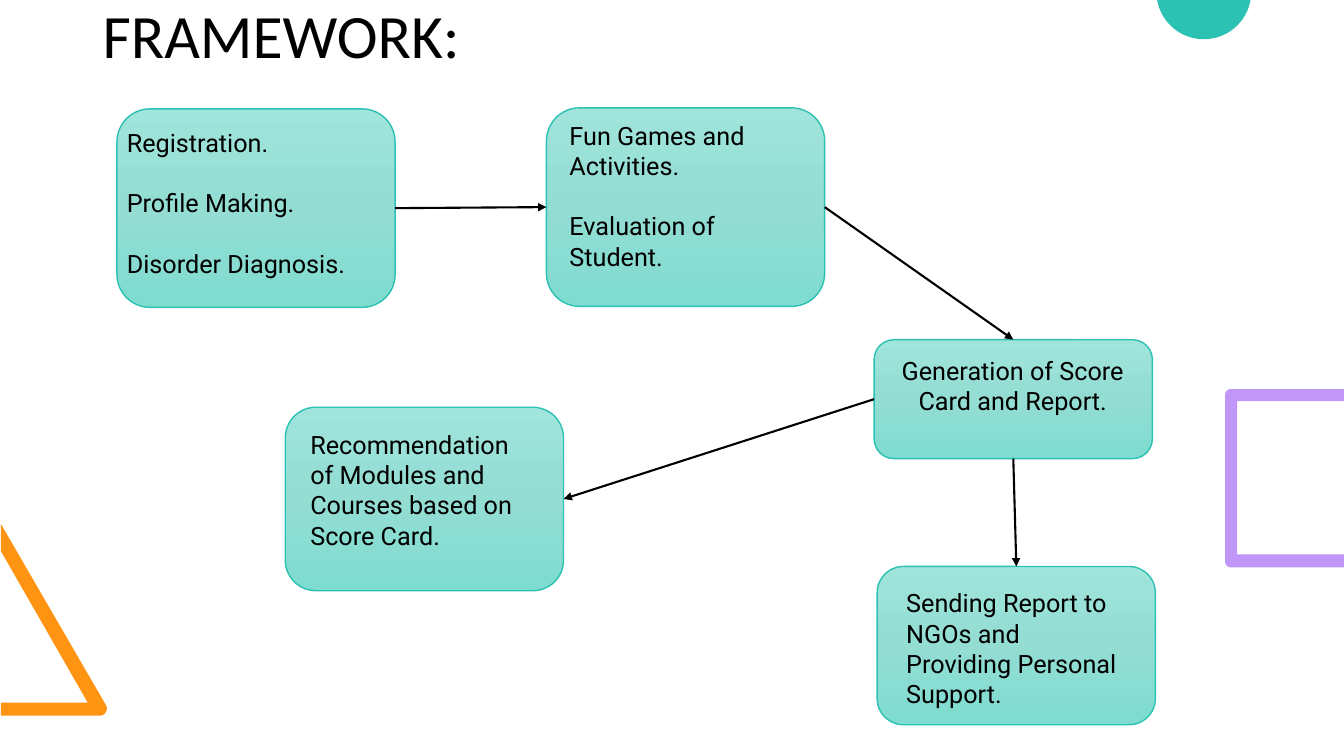
from copy import deepcopy
from dataclasses import dataclass
from math import cos, radians, sin

from lxml.etree import SubElement
from pptx import Presentation
from pptx.dml.color import RGBColor
from pptx.enum.shapes import MSO_CONNECTOR, MSO_SHAPE
from pptx.enum.text import MSO_ANCHOR, MSO_AUTO_SIZE, PP_ALIGN
from pptx.oxml.ns import qn
from pptx.shapes.autoshape import Shape
from pptx.shapes.shapetree import SlideShapes
from pptx.text.text import _Paragraph as Para
from pptx.util import Inches, Pt

ROUND = MSO_SHAPE.ROUNDED_RECTANGLE
STRAIGHT = MSO_CONNECTOR.STRAIGHT
MIDDLE = MSO_ANCHOR.MIDDLE
GROW = MSO_AUTO_SIZE.SHAPE_TO_FIT_TEXT
LEFT, CENTER = PP_ALIGN.LEFT, PP_ALIGN.CENTER
TOP_SIDE, LEFT_SIDE, BOTTOM_SIDE, RIGHT_SIDE = range(4)

Point = tuple[float, float]
Area = tuple[float, float, float, float]


@dataclass(frozen=True)
class Theme:
    ink: str = "000000"
    teal: str = "2BC2B4"
    orange: str = "FF9413"
    purple: str = "C097F8"
    fade: tuple[str, ...] = ("A0E4DB", "93DDD3", "7FDCD0")
    head_font: str = "Calibri"
    body_font: str = "Roboto"
    head_size: int = 44
    body_size: int = 18
    gap: float = 21.6
    edge: float = 1
    arrow: float = 1.5


@dataclass(frozen=True)
class Step:
    box: Area
    label: Area
    lines: tuple[str, ...]
    gap: float = 0
    align: PP_ALIGN = LEFT
    inset: float = 0.05


@dataclass(frozen=True)
class Link:
    start: str
    out: int
    end: str
    into: int


@dataclass(frozen=True)
class Decor:
    points: list[Point]
    color: str


THEME = Theme()

STEPS = {
    "signup": Step((1.16, 1.08, 2.76, 1.97), (1.16, 1.21, 2.6, 1.62),
                   ("Registration.", "Profile Making.", "Disorder Diagnosis."),
                   gap=THEME.gap),
    "games": Step((5.42, 1.07, 2.76, 1.97), (5.55, 1.14, 2.5, 2.22),
                  ("Fun Games and Activities.", "Evaluation of Student."),
                  gap=THEME.gap),
    "score": Step((8.67, 3.37, 2.76, 1.18), (8.81, 3.17, 2.47, 1.62),
                  ("Generation of Score Card and Report.",),
                  align=CENTER, inset=0.35),
    "advice": Step((2.83, 4.04, 2.76, 1.82), (2.98, 4.21, 2.4, 1.31),
                   ("Recommendation of Modules and Courses based on Score Card.",)),
    "report": Step((8.7, 5.62, 2.76, 1.57), (8.89, 5.78, 2.37, 1.31),
                   ("Sending Report to NGOs and Providing Personal", "Support.")),
}

LINKS = [
    Link("signup", RIGHT_SIDE, "games", LEFT_SIDE),
    Link("games", RIGHT_SIDE, "score", TOP_SIDE),
    Link("score", LEFT_SIDE, "advice", RIGHT_SIDE),
    Link("score", BOTTOM_SIDE, "report", TOP_SIDE),
]


def arc(x: float, y: float, radius: float, start: int, end: int) -> list[Point]:
    """Points every five degrees, clockwise from the right."""
    return [(x + radius * cos(radians(a)), y + radius * sin(radians(a)))
            for a in range(start, end + 1, 5)]


DECOR = [
    Decor([(0.01, 7.1), (0.01, 6.97), (0.87, 6.97), (0.01, 5.47), (0.01, 5.2),
           *arc(0.99, 7.03, 0.07, -30, 90)], THEME.orange),
    Decor(arc(11.94, -0.08, 0.47, 10, 170), THEME.teal),
    Decor([(13.33, 5.63), (13.33, 5.5), (12.27, 5.5), (12.27, 3.98),
           (13.33, 3.98), (13.33, 3.86),
           *reversed(arc(12.21, 3.92, 0.06, 180, 270)),
           *reversed(arc(12.21, 5.57, 0.06, 90, 180))], THEME.purple),
]


def rgb(color: str) -> RGBColor:
    return RGBColor.from_string(color)


def style(para: Para, font: str, size: int) -> None:
    para.font.name = font
    para.font.size = Pt(size)
    para.font.color.rgb = rgb(THEME.ink)


def add_decor(shapes: SlideShapes, decor: Decor) -> None:
    first, *rest = [(Inches(x), Inches(y)) for x, y in decor.points]
    pen = shapes.build_freeform(*first)
    pen.add_line_segments(rest)
    shape = pen.convert_to_shape()
    shape.shadow.inherit = False
    shape.fill.solid()
    shape.fill.fore_color.rgb = rgb(decor.color)
    shape.line.fill.background()


def add_title(shapes: SlideShapes, text: str) -> None:
    box = shapes.add_textbox(*map(Inches, (0.92, -0.42, 11.5, 1.61)))
    frame = box.text_frame
    frame.word_wrap = True
    frame.vertical_anchor = MIDDLE
    para = frame.paragraphs[0]
    para.text = text
    para.line_spacing = 0.9
    style(para, THEME.head_font, THEME.head_size)


def add_box(shapes: SlideShapes, area: Area) -> Shape:
    box = shapes.add_shape(ROUND, *map(Inches, area))
    box.shadow.inherit = False
    box.line.color.rgb = rgb(THEME.teal)
    box.line.width = Pt(THEME.edge)
    box.fill.gradient()
    box.fill.gradient_angle = 270
    stops = box._element.spPr.find(qn("a:gradFill")).find(qn("a:gsLst"))
    stops.insert(1, deepcopy(stops[0]))
    for i, (stop, color) in enumerate(zip(box.fill.gradient_stops, THEME.fade)):
        stop.position = i / 2
        stop.color.rgb = rgb(color)
    return box


def add_label(shapes: SlideShapes, step: Step) -> None:
    frame = shapes.add_textbox(*map(Inches, step.label)).text_frame
    frame.word_wrap = True
    frame.auto_size = GROW
    frame.margin_top = Inches(step.inset)
    frame.text = "\n".join(step.lines)
    for i, para in enumerate(frame.paragraphs):
        para.alignment = step.align
        para.space_before = Pt(step.gap if i else 0)
        style(para, THEME.body_font, THEME.body_size)


def add_link(shapes: SlideShapes, link: Link, boxes: dict[str, Shape]) -> None:
    line = shapes.add_connector(STRAIGHT, 0, 0, 0, 0)
    line.begin_connect(boxes[link.start], link.out)
    line.end_connect(boxes[link.end], link.into)
    line.line.color.rgb = rgb(THEME.ink)
    line.line.width = Pt(THEME.arrow)
    props = line._element.spPr
    SubElement(props.find(qn("a:ln")), qn("a:tailEnd"), type="triangle")
    SubElement(props, qn("a:effectLst"))


def main() -> None:
    deck = Presentation()
    deck.slide_width, deck.slide_height = Inches(13.33), Inches(7.5)
    shapes = deck.slides.add_slide(deck.slide_layouts[6]).shapes
    for decor in DECOR:
        add_decor(shapes, decor)
    add_title(shapes, "FRAMEWORK:")
    boxes = {name: add_box(shapes, step.box) for name, step in STEPS.items()}
    for step in STEPS.values():
        add_label(shapes, step)
    for link in LINKS:
        add_link(shapes, link, boxes)
    deck.save("out.pptx")


if __name__ == "__main__":
    main()
